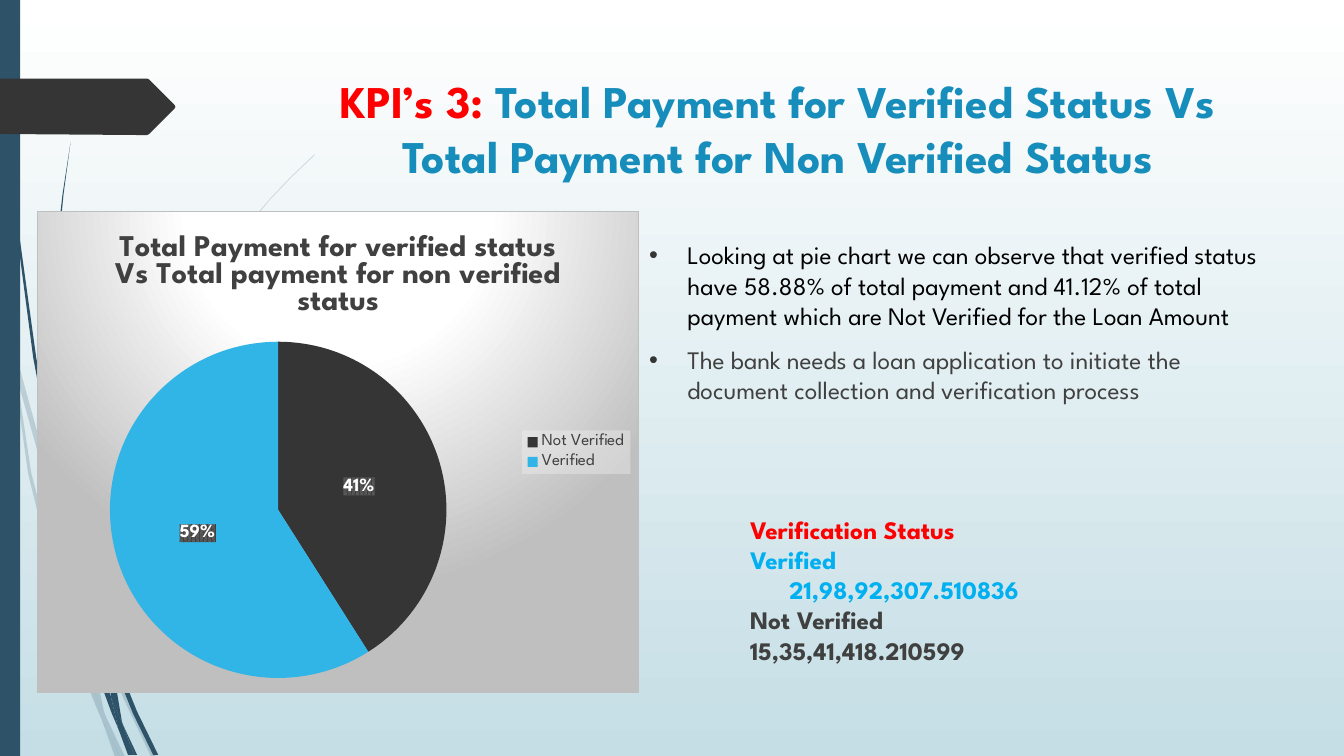
from collections import namedtuple
from dataclasses import dataclass

from lxml import etree
from pptx import Presentation
from pptx import util as u
from pptx.chart import data
from pptx.dml.color import RGBColor
from pptx.enum import chart as ch
from pptx.enum import dml, shapes, text
from pptx.oxml import parse_xml
from pptx.oxml.ns import nsdecls, qn

CELL = u.Inches(0.01)
COLUMNS, ROWS = 1333, 750
Box = namedtuple("Box", "left top width height")


@dataclass(frozen=True)
class Theme:
    font: str = "League Spartan"
    navy: str = "2E5369"
    dark: str = "353535"
    grey: str = "404040"
    silver: str = "BFBFBF"
    white: str = "FFFFFF"
    mist: str = "C5DEE5"
    black: str = "000000"
    red: str = "FF0000"
    title_blue: str = "178DBB"
    sky: str = "31B4E6"
    cyan: str = "00B0F0"
    title_size: float = 32.4
    body_size: float = 18
    chart_title_size: float = 21.6
    legend_size: float = 12
    label_size: float = 13.3


THEME = Theme()

PALE_WISPS = [
    [(11, 350), (9, 322), (0, 282), (0, 299), (10, 344)],
    [(58, 522), (84, 599), (85, 586), (62, 520), (14, 345), (17, 376)],
    [(92, 607), (88, 596), (88, 610), (123, 694), (150, 751), (155, 751), (127, 692)],
    [(119, 751), (124, 751), (105, 711)],
    [(93, 683), (70, 619), (31, 469), (17, 376), (11, 350), (28, 470), (65, 621),
     (92, 693), (101, 714), (99, 707)],
    [(84, 599), (87, 646), (93, 683), (96, 692), (105, 711), (103, 706), (91, 646),
     (88, 610), (88, 608)],
    [(88, 584), (110, 462), (160, 349), (229, 245), (268, 198), (290, 175), (312, 154),
     (312, 153), (289, 175), (268, 197), (228, 244), (158, 348), (107, 461), (85, 584),
     (85, 586), (88, 596)],
    [(101, 714), (114, 751), (119, 751)],
    [(88, 608), (88, 610), (88, 596), (85, 586), (84, 599)],
    [(96, 692), (93, 683), (99, 707), (101, 714), (119, 751), (105, 711)],
]

DARK_WISPS = [
    [(7, 110), (17, 233), (33, 355), (56, 477), (57, 481), (55, 457), (55, 453),
     (36, 355), (19, 232), (8, 109), (5, 48), (4, 0), (3, 0), (4, 48)],
    [(88, 592), (106, 645), (106, 633), (106, 631), (93, 590), (60, 472), (64, 505)],
    [(113, 649), (110, 641), (111, 656), (132, 708), (152, 749), (157, 749), (136, 706)],
    [(110, 691), (98, 657), (72, 556), (64, 505), (57, 477), (68, 557), (93, 659),
     (111, 708), (117, 722), (116, 717)],
    [(60, 472), (58, 453), (54, 349), (58, 245), (63, 193), (70, 141), (62, 193),
     (56, 245), (52, 349), (55, 449)],
    [(133, 749), (136, 749), (122, 719)],
    [(57, 477), (64, 505), (60, 472), (55, 449), (55, 453)],
    [(111, 633), (125, 552), (158, 476), (205, 406), (231, 374), (245, 359), (261, 344),
     (260, 344), (245, 358), (231, 373), (204, 405), (156, 474), (122, 551), (106, 631),
     (110, 641)],
    [(117, 722), (127, 749), (131, 749)],
    [(106, 645), (110, 691), (116, 706), (122, 719), (121, 716), (111, 656), (109, 651)],
    [(106, 645), (109, 651), (111, 656), (110, 641), (106, 631), (106, 633)],
    [(116, 706), (110, 691), (116, 717), (117, 722), (130, 749), (133, 749), (122, 719)],
]

FLAG = [(173, 30), (148, 55), (146, 56), (136, 56), (0, 55), (0, 0), (146, 0),
        (148, 1), (173, 26), (174, 28)]


def rgb(value):
    return RGBColor.from_string(value)


def emu(box):
    return [CELL * length for length in box]


def paint(shape, color, alpha=None):
    shape.shadow.inherit = False
    shape.fill.solid()
    shape.fill.fore_color.rgb = rgb(color)
    shape.line.fill.background()
    if alpha:
        tone = shape.fill._xPr.find(".//" + qn("a:srgbClr"))
        etree.SubElement(tone, qn("a:alpha")).set("val", str(alpha * 1000))


def draw_outline(page, box, points, color, alpha=None):
    corners = [(box.left + x, box.top + y) for x, y in points]
    builder = page.shapes.build_freeform(*corners[0], scale=CELL)
    builder.add_line_segments(corners[1:], close=True)
    paint(builder.convert_to_shape(), color, alpha)


def style(font, size, color, bold=False):
    font.name, font.size, font.bold = THEME.font, u.Pt(size), bold
    font.color.rgb = rgb(color)


def add_span(para, words, size, color, bold=False):
    span = para.add_run()
    span.text = words
    style(span.font, size, color, bold)


def add_text_box(page, box):
    frame = page.shapes.add_textbox(*emu(box)).text_frame
    frame.word_wrap = True
    frame.vertical_anchor = text.MSO_ANCHOR.TOP
    return frame


def next_para(frame, index):
    return frame.add_paragraph() if index else frame.paragraphs[0]


def draw_backdrop(page, box):
    fill = page.background.fill
    fill.gradient()
    fill.gradient_angle = 270
    for stop, color, place in zip(fill.gradient_stops, (THEME.white, THEME.mist), (0, 1)):
        stop.color.rgb, stop.position = rgb(color), place
    for points in PALE_WISPS:
        draw_outline(page, box, points, THEME.navy, 20)
    for points in DARK_WISPS:
        draw_outline(page, box, points, THEME.navy)
    strip = Box(box.left, box.top, 20, box.height)
    paint(page.shapes.add_shape(shapes.MSO_SHAPE.RECTANGLE, *emu(strip)), THEME.navy)
    draw_outline(page, Box(box.left, box.top + 78, 174, 56), FLAG, THEME.dark)


def draw_title(page, box):
    para = add_text_box(page, box).paragraphs[0]
    para.alignment = text.PP_ALIGN.CENTER
    add_span(para, "KPI’s 3: ", THEME.title_size, THEME.red, True)
    add_span(para, "Total Payment for Verified Status Vs Total Payment for Non Verified Status",
             THEME.title_size, THEME.title_blue, True)


def draw_findings(page, box):
    frame = add_text_box(page, box)
    findings = [
        ("Looking at pie chart we can observe that verified status have 58.88% of total payment "
         "and 41.12% of total payment which are Not Verified for the Loan Amount", THEME.black),
        ("The bank needs a loan application to initiate the document collection and "
         "verification process", THEME.grey),
    ]
    for index, (words, color) in enumerate(findings):
        para = next_para(frame, index)
        para.space_before = u.Pt(10)
        layout = para._p.get_or_add_pPr()
        layout.set("marL", str(CELL * 38))
        layout.set("indent", str(-CELL * 38))
        tone = etree.SubElement(etree.SubElement(layout, qn("a:buClr")), qn("a:srgbClr"))
        tone.set("val", THEME.dark)
        etree.SubElement(layout, qn("a:buFont")).set("typeface", "Arial")
        etree.SubElement(layout, qn("a:buChar")).set("char", "•")
        add_span(para, words, THEME.body_size, color)


def draw_totals(page, box):
    frame = add_text_box(page, box)
    totals = [("Verification Status", THEME.red, 0), ("Verified", THEME.cyan, 0),
              ("21,98,92,307.510836", THEME.cyan, 39),
              ("Not Verified\t15,35,41,418.210599", THEME.grey, 0)]
    for index, (words, color, indent) in enumerate(totals):
        para = next_para(frame, index)
        para._p.get_or_add_pPr().set("marL", str(CELL * indent))
        add_span(para, words, THEME.body_size, color, True)


def chart_fill(chart):
    stops = "".join(f'<a:gs pos="{place}000"><a:srgbClr val="{color}"/></a:gs>' for place, color in
                    ((0, THEME.white), (39, THEME.white), (100, THEME.silver)))
    chart.element.find(qn("c:chart")).addnext(parse_xml(
        f'<c:spPr {nsdecls("c", "a")}><a:gradFill><a:gsLst>{stops}</a:gsLst><a:path path="circle">'
        '<a:fillToRect l="50000" t="-80000" r="50000" b="180000"/></a:path></a:gradFill>'
        f'<a:ln w="9525"><a:solidFill><a:srgbClr val="{THEME.silver}"/></a:solidFill></a:ln></c:spPr>'))


def draw_pie(page, box):
    table = data.CategoryChartData()
    table.categories = ["Not Verified", "Verified"]
    table.add_series("Series 1", (41, 59))
    chart = page.shapes.add_chart(ch.XL_CHART_TYPE.PIE, *emu(box), table).chart
    style(chart.font, 10, THEME.black)
    chart.has_title = True
    add_span(chart.chart_title.text_frame.paragraphs[0],
             "Total Payment for verified status Vs Total payment for non verified status",
             THEME.chart_title_size, THEME.grey, True)
    chart.has_legend = True
    chart.legend.position = ch.XL_LEGEND_POSITION.RIGHT
    chart.legend.include_in_layout = False
    style(chart.legend.font, THEME.legend_size, THEME.grey)
    chart.legend._element.find(qn("c:txPr")).addprevious(parse_xml(
        f'<c:spPr {nsdecls("c", "a")}><a:solidFill><a:srgbClr val="F2F2F2">'
        '<a:alpha val="39000"/></a:srgbClr></a:solidFill></c:spPr>'))
    plot = chart.plots[0]
    plot.vary_by_categories = True
    for index, color in enumerate((THEME.dark, THEME.sky)):
        fill = plot.series[0].points[index].format.fill
        fill.solid()
        fill.fore_color.rgb = rgb(color)
    labels = plot.series[0].data_labels
    labels.show_percentage, labels.show_value = True, False
    labels.number_format, labels.number_format_is_linked = "0%", False
    labels.position = ch.XL_LABEL_POSITION.CENTER
    style(labels.font, THEME.label_size, THEME.white, True)
    labels._element.find(qn("c:txPr")).addprevious(parse_xml(
        f'<c:spPr {nsdecls("c", "a")}><a:pattFill prst="pct75">'
        f'<a:fgClr><a:srgbClr val="{THEME.grey}"/></a:fgClr>'
        '<a:bgClr><a:srgbClr val="595959"/></a:bgClr></a:pattFill></c:spPr>'))
    area = chart.element.find(".//" + qn("c:plotArea"))
    for old in area.findall(qn("c:layout")):
        area.remove(old)
    shares = "".join(f'<c:{key} val="{share}"/>' for key, share in
                     (("x", 0.12), ("y", 0.27), ("w", 0.56), ("h", 0.7)))
    area.insert(0, parse_xml(
        f'<c:layout {nsdecls("c")}><c:manualLayout><c:layoutTarget val="inner"/>'
        f'<c:xMode val="edge"/><c:yMode val="edge"/>{shares}</c:manualLayout></c:layout>'))
    chart_fill(chart)


def main():
    deck = Presentation()
    deck.slide_width, deck.slide_height = CELL * COLUMNS, CELL * ROWS
    page = deck.slides.add_slide(deck.slide_layouts[6])
    draw_backdrop(page, Box(0, 0, COLUMNS, ROWS))
    draw_title(page, Box(284, 68, 975, 140))
    draw_findings(page, Box(634, 233, 624, 413))
    draw_pie(page, Box(37, 209, 597, 479))
    draw_totals(page, Box(734, 505, 369, 162))
    deck.save("out.pptx")


if __name__ == "__main__":
    main()
